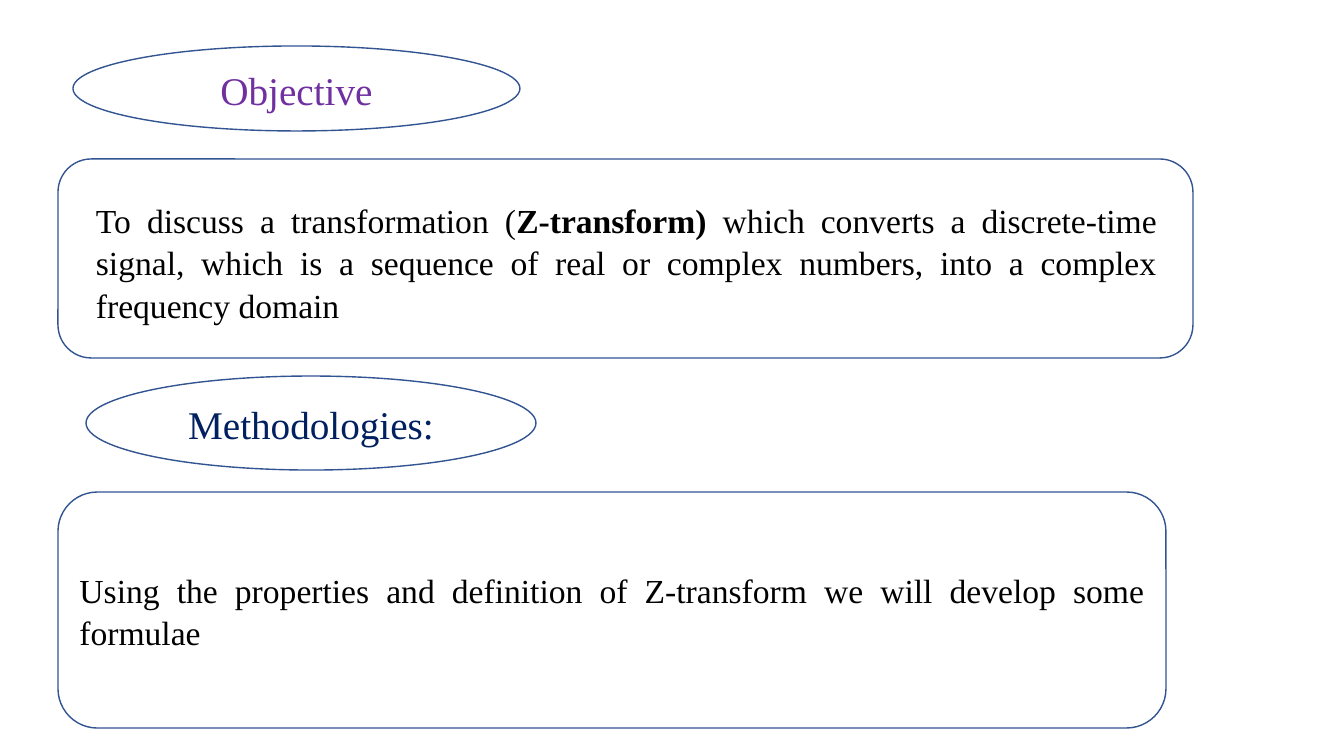
from dataclasses import dataclass

from pptx import Presentation
from pptx.dml.color import RGBColor
from pptx.enum.shapes import MSO_SHAPE
from pptx.enum.text import MSO_ANCHOR, PP_ALIGN
from pptx.shapes.autoshape import Shape
from pptx.slide import Slide
from pptx.util import Emu, Pt

EMU_PER_PX = 914400 / 100.8
FONT = "Times New Roman"
COLORS = {
    "outline": "325491",
    "objective": "7030A0",
    "methodologies": "002060",
    "body": "000000",
}


@dataclass(frozen=True)
class Box:
    left: int
    top: int
    width: int
    height: int

    def emu(self) -> list[Emu]:
        return [px(n) for n in (self.left, self.top, self.width, self.height)]


@dataclass(frozen=True)
class Heading:
    text: str
    color: str
    box: Box


HEADINGS = [
    Heading("Objective", "objective", Box(73, 46, 447, 85)),
    Heading("Methodologies:", "methodologies", Box(86, 376, 450, 94)),
]
OBJECTIVE_PANEL = Box(58, 159, 1135, 199)
OBJECTIVE_TEXT = Box(86, 193, 1081, 132)
METHODOLOGIES_PANEL = Box(58, 492, 1108, 236)

OBJECTIVE_RUNS = [
    ("To discuss a transformation (", False),
    ("Z-transform) ", True),
    ("which converts a discrete-time signal, which is a sequence of real "
     "or complex numbers, into a complex frequency domain", False),
]
METHODOLOGIES_RUNS = [
    ("Using the properties and definition of Z-transform "
     "we will develop some formulae", False),
]


def px(length: int) -> Emu:
    return Emu(round(length * EMU_PER_PX))


def add_outline(slide: Slide, kind: MSO_SHAPE, box: Box) -> Shape:
    outline = slide.shapes.add_shape(kind, *box.emu())
    outline.shadow.inherit = False
    outline.fill.background()
    outline.line.color.rgb = RGBColor.from_string(COLORS["outline"])
    outline.line.width = Pt(1)
    return outline


def write(
    holder: Shape,
    runs: list[tuple[str, bool]],
    *,
    size: int = 24,
    color: str = "body",
    align: PP_ALIGN = PP_ALIGN.JUSTIFY,
    anchor: MSO_ANCHOR = MSO_ANCHOR.MIDDLE,
) -> None:
    frame = holder.text_frame
    frame.word_wrap = True
    frame.vertical_anchor = anchor
    paragraph = frame.paragraphs[0]
    paragraph.alignment = align
    paragraph.line_spacing = 1.05
    for text, bold in runs:
        run = paragraph.add_run()
        run.text = text
        run.font.name = FONT
        run.font.size = Pt(size)
        run.font.bold = bold
        run.font.color.rgb = RGBColor.from_string(COLORS[color])


def add_heading(slide: Slide, heading: Heading) -> None:
    ellipse = add_outline(slide, MSO_SHAPE.OVAL, heading.box)
    write(ellipse, [(heading.text, False)], size=28, color=heading.color,
          align=PP_ALIGN.CENTER)


def main() -> None:
    deck = Presentation()
    deck.slide_width, deck.slide_height = px(1344), px(756)
    slide = deck.slides.add_slide(deck.slide_layouts[6])

    objective, methodologies = HEADINGS
    add_heading(slide, objective)
    add_outline(slide, MSO_SHAPE.ROUNDED_RECTANGLE, OBJECTIVE_PANEL)
    objective_text = slide.shapes.add_textbox(*OBJECTIVE_TEXT.emu())
    write(objective_text, OBJECTIVE_RUNS, anchor=MSO_ANCHOR.TOP)

    add_heading(slide, methodologies)
    methodologies_panel = add_outline(
        slide, MSO_SHAPE.ROUNDED_RECTANGLE, METHODOLOGIES_PANEL)
    write(methodologies_panel, METHODOLOGIES_RUNS)

    deck.save("out.pptx")


if __name__ == "__main__":
    main()
